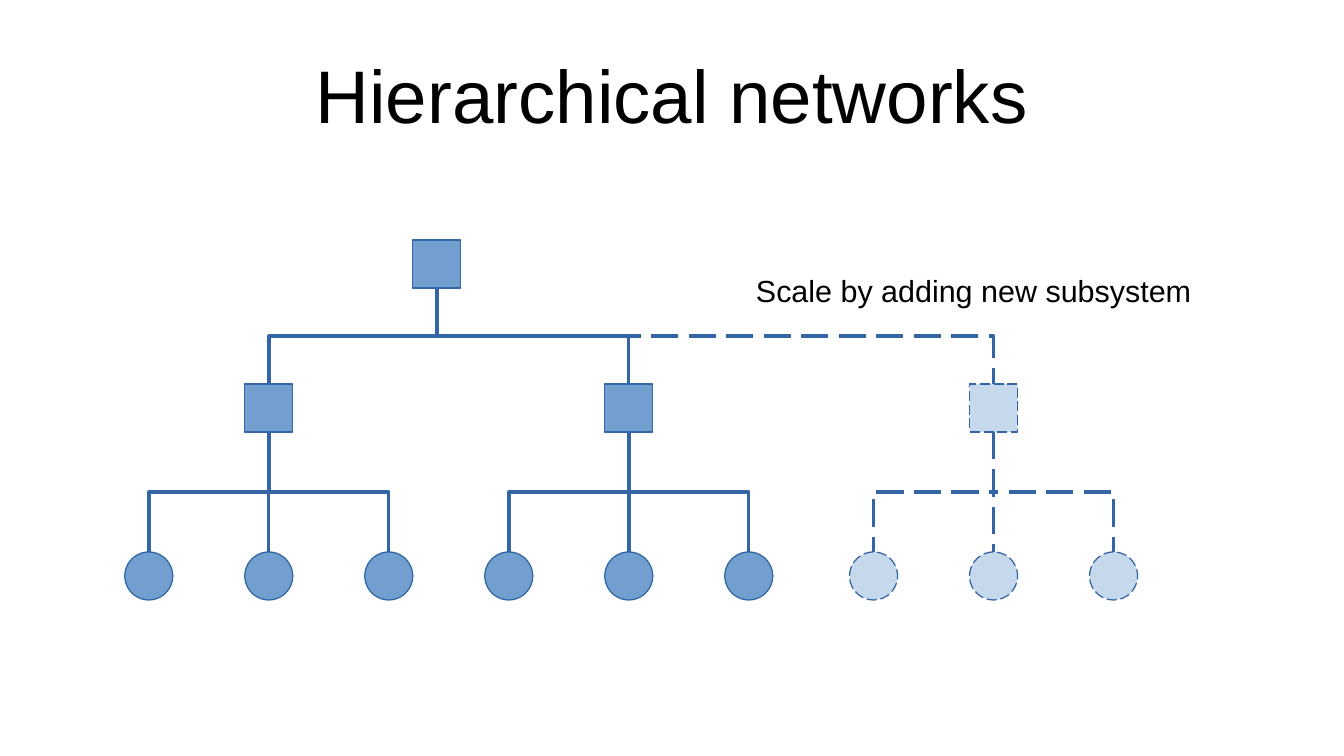
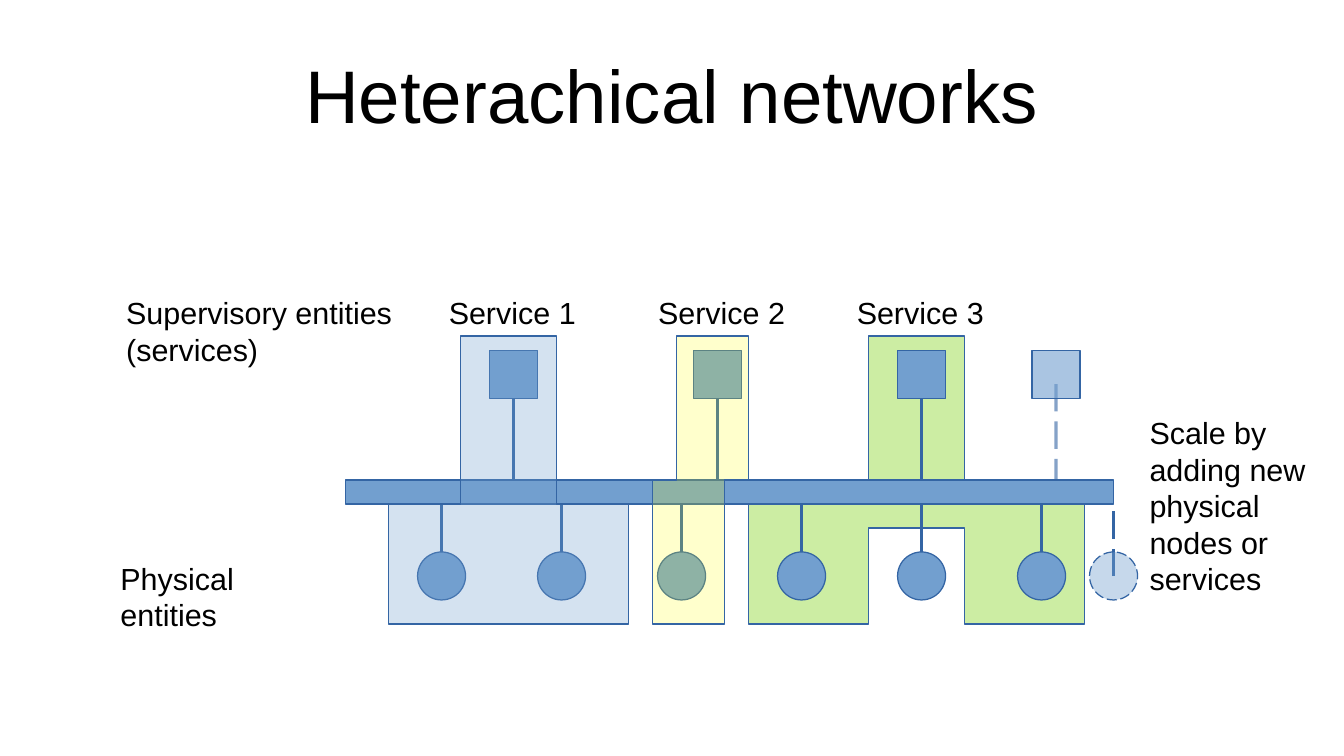
from lxml import etree
from pptx import Presentation
from pptx.dml.color import RGBColor
from pptx.enum import dml, shapes, text
from pptx.oxml import ns
from pptx.util import Cm, Pt

BLUE = RGBColor(0x72, 0x9F, 0xCF)
EDGE = RGBColor(0x34, 0x65, 0xA4)
YELLOW = RGBColor(0xFF, 0xFF, 0x00)
GREEN = RGBColor(0x81, 0xD4, 0x1A)
BLACK = RGBColor(0x00, 0x00, 0x00)

FONT = "Arial"
SQUARE = shapes.MSO_SHAPE.RECTANGLE
CIRCLE = shapes.MSO_SHAPE.OVAL
NODE = 1    # node size, cm
PITCH = 2.5  # distance between neighbouring circles, cm
BAR_HEIGHT = 0.5


def set_alpha(color_parent, percent):
    color = next(color_parent.iter(ns.qn("a:srgbClr")))
    alpha = etree.SubElement(color, ns.qn("a:alpha"))
    alpha.set("val", str(percent * 1000))


def style_line(line, dashed=False):
    line.color.rgb = EDGE
    line.width = Pt(0)
    if dashed:
        line.dash_style = dml.MSO_LINE.LONG_DASH


def style_shape(sp, color=BLUE, alpha=100, dashed=False):
    sp.shadow.inherit = False
    sp.fill.solid()
    sp.fill.fore_color.rgb = color
    if alpha < 100:
        set_alpha(sp._element.spPr.find(ns.qn("a:solidFill")), alpha)
    style_line(sp.line, dashed)
    return sp


def add_node(s, kind, x, top, alpha=100, dashed=False):
    """Add a square or circle centred on x."""
    sp = s.shapes.add_shape(kind, Cm(x - NODE / 2), Cm(top), Cm(NODE), Cm(NODE))
    return style_shape(sp, alpha=alpha, dashed=dashed)


def style_connector(c, dashed):
    style_line(c.line, dashed)
    etree.SubElement(c._element.spPr, ns.qn("a:effectLst"))


def add_vertical(s, x, y1, y2, dashed=False):
    c = s.shapes.add_connector(shapes.MSO_CONNECTOR.STRAIGHT,
                               Cm(x), Cm(y1), Cm(x), Cm(y2))
    style_connector(c, dashed)
    return c


def link(s, parent, child, dashed=False):
    """Join the bottom of parent to the top of child, bending half-way down."""
    x1 = parent.left + parent.width // 2
    x2 = child.left + child.width // 2
    y1, y2 = parent.top + parent.height, child.top
    straight = abs(x2 - x1) < Cm(0.01)
    kind = shapes.MSO_CONNECTOR.STRAIGHT if straight else shapes.MSO_CONNECTOR.ELBOW
    c = s.shapes.add_connector(kind, x1, y1, x2, y2)
    c.begin_connect(parent, 2)
    c.end_connect(child, 0)
    if not straight:
        # An elbow leaves sideways, so it is turned to leave downwards.
        across, down = abs(x2 - x1), y2 - y1
        c.left, c.top = (x1 + x2 - down) // 2, (y1 + y2 - across) // 2
        c.width, c.height = down, across
        xfrm = c._element.spPr.xfrm
        xfrm.rot = 270 if x2 > x1 else 90
        xfrm.flipH = x2 > x1
    style_connector(c, dashed)


def add_text(s, lines, left, top, width, height=0.97, size=18, wrap=False):
    tf = s.shapes.add_textbox(Cm(left), Cm(top), Cm(width), Cm(height)).text_frame
    tf.word_wrap = wrap
    for i, line in enumerate(lines):
        p = tf.add_paragraph() if i else tf.paragraphs[0]
        p.text = line
        p.font.name, p.font.size = FONT, Pt(size)
        p.font.color.rgb = BLACK
    return tf


def add_title(s, title):
    tf = add_text(s, [title], 1.4, 0.63, 25.2, 2.63, size=44, wrap=True)
    tf.margin_left = tf.margin_right = tf.margin_top = tf.margin_bottom = 0
    tf.vertical_anchor = text.MSO_ANCHOR.MIDDLE
    tf.paragraphs[0].alignment = text.PP_ALIGN.CENTER


def add_subsystem(s, x, top, new=False):
    """Add a square over three circles, centred on x; return the square."""
    alpha = 40 if new else 100
    head = add_node(s, SQUARE, x, top, alpha, new)
    for i in (-1, 0, 1):
        leaf = add_node(s, CIRCLE, x + i * PITCH, top + 3.5, alpha, new)
        link(s, head, leaf, new)
    return head


def add_hierarchy(s, left, top):
    root = add_node(s, SQUARE, left + 6.5, top)
    for dx, new in ((3, False), (10.5, False), (18.1, True)):
        link(s, root, add_subsystem(s, left + dx, top + 3, new), new)
    add_text(s, ["Scale by adding new subsystem"], left + 12.9, top + 0.54, 9.58)


def add_zone(s, left, top, points, color, alpha):
    """Add an outline whose points are relative to left and top."""
    pts = [(Cm(left + x), Cm(top + y)) for x, y in points]
    builder = s.shapes.build_freeform(*pts[0])
    builder.add_line_segments(pts[1:], close=True)
    style_shape(builder.convert_to_shape(), color, alpha)


def add_heterarchy(s, left, top):
    """Add services above and physical nodes below a shared bar."""
    bar_top = top + 3
    bar_bottom = bar_top + BAR_HEIGHT
    square_top, circle_top = top + 0.3, top + 4.5
    new_service, new_node = left + 14.8, left + 16

    def drop(x, dashed=False):
        add_vertical(s, x, circle_top + NODE / 2, bar_bottom, dashed)

    def rise(x, dashed=False):
        return add_vertical(s, x, top + 1, bar_top, dashed)

    set_alpha(rise(new_service, True).line._ln, 60)
    add_zone(s, left + 8.4, top,
             [(2.5, 0), (2.5, 3.5), (0, 3.5), (0, 6), (2.5, 6), (2.5, 4),
              (4.5, 4), (4.5, 6), (7, 6), (7, 3.5), (4.5, 3.5), (4.5, 0)],
             GREEN, 40)
    style_shape(s.shapes.add_shape(SQUARE, Cm(left), Cm(bar_top),
                                   Cm(16), Cm(BAR_HEIGHT)))
    for i in range(6):
        x = left + 2 + i * PITCH
        drop(x)
        add_node(s, CIRCLE, x, circle_top)
    for i in range(3):
        x = left + 3.5 + i * 4.25
        rise(x)
        add_node(s, SQUARE, x, square_top)
    drop(new_node, True)
    add_node(s, CIRCLE, new_node, circle_top, 40, True)
    add_zone(s, left + 0.9, top,
             [(1.5, 0), (1.5, 3.5), (0, 3.5), (0, 6),
              (5, 6), (5, 3.5), (3.5, 3.5), (3.5, 0)], BLUE, 30)
    add_zone(s, left + 6.4, top,
             [(0.5, 0), (0.5, 3), (0, 3), (0, 6),
              (1.5, 6), (1.5, 3), (2, 3), (2, 0)], YELLOW, 20)
    add_node(s, SQUARE, new_service, square_top, 60)

    for i, dx in enumerate((1.9, 6.26, 10.4), 1):
        add_text(s, [f"Service {i}"], left + dx, top - 1, 3.15)
    add_text(s, ["Physical entities"], left - 4.94, top + 4.54, 5.05)
    add_text(s, ["Supervisory entities", "(services)"],
             left - 4.82, top - 1, 6.22, 1.68)
    add_text(s, ["Scale by adding new physical nodes or services"],
             left + 16.5, top + 1.5, 3.81, 3.81, wrap=True)


def main():
    prs = Presentation()
    prs.slide_width, prs.slide_height = Cm(28), Cm(15.75)
    for title, draw, left, top in (
            ("Hierarchical networks", add_hierarchy, 2.6, 5),
            ("Heterachical networks", add_heterarchy, 7.2, 7)):
        s = prs.slides.add_slide(prs.slide_layouts[6])
        add_title(s, title)
        draw(s, left, top)
    prs.save("out.pptx")


if __name__ == "__main__":
    main()
